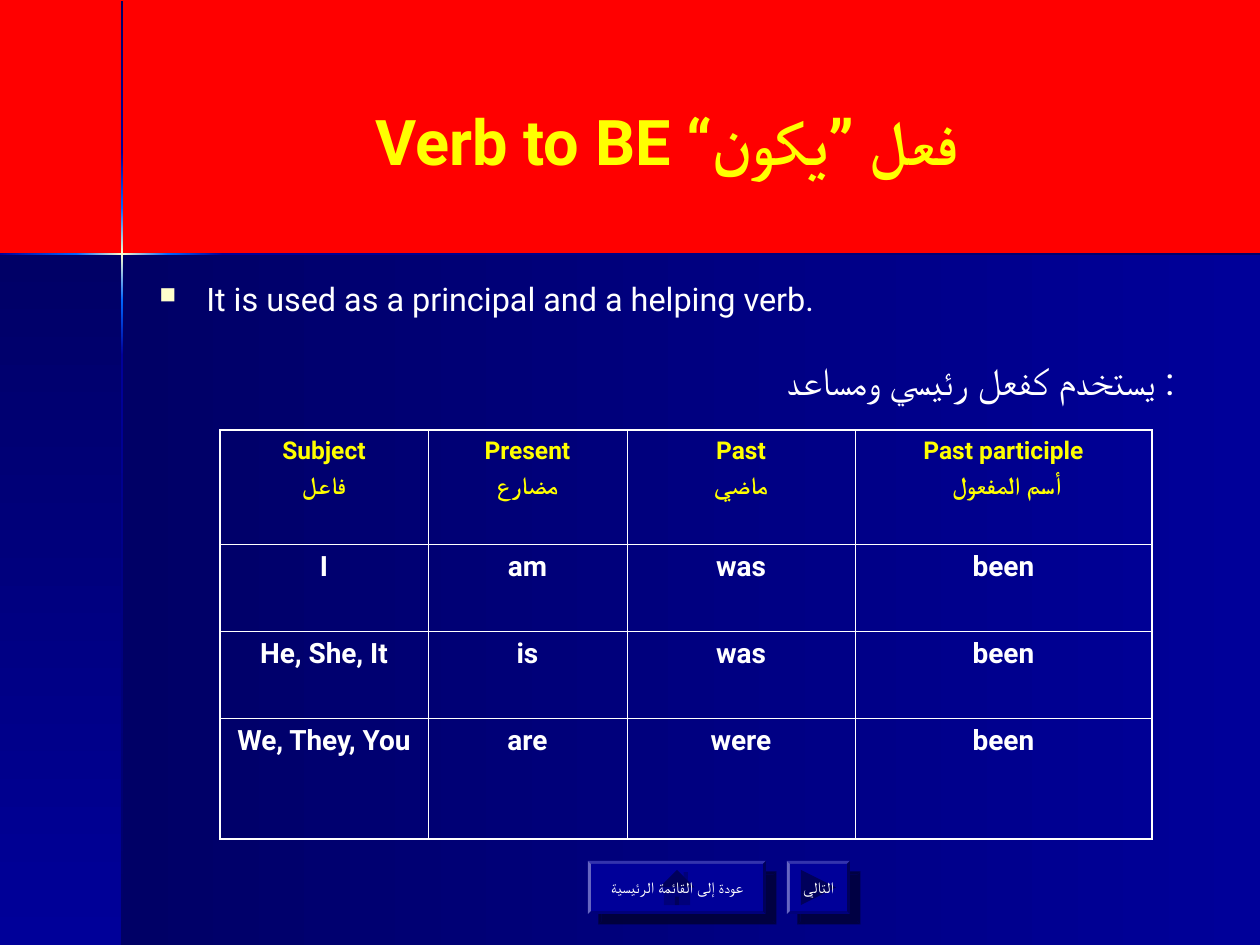
"""Build the slide on the verb to be, with its table of forms and two buttons."""
import pptx
import pptx.util
from pptx.dml.color import RGBColor
from pptx.enum.shapes import MSO_SHAPE
from pptx.enum.text import MSO_ANCHOR, PP_ALIGN
from pptx.oxml import parse_xml
from pptx.oxml.ns import nsdecls, qn

HEADING = "Verb to BE “فعل ”يكون"
USAGE = ["It is used as a principal and a helping verb.", "يستخدم كفعل رئيسي ومساعد :"]
VERB_FORMS = [
    ["Subject\nفاعل", "Present\nمضارع", "Past\nماضي", "Past participle\n أسم المفعول"],
    ["I", "am", "was", "been"],
    ["He, She, It", "is", "was", "been"],
    ["We, They, You", "are", "were", "been"],
]
BUTTONS = [
    ("التالي", 787, 63, MSO_SHAPE.ACTION_BUTTON_FORWARD_OR_NEXT),
    ("عودة إلى القائمة الرئيسية", 588, 178, MSO_SHAPE.ACTION_BUTTON_HOME),
]

THEME = {
    "font": "Roboto", "band": "FF0000", "navy": "000066", "blue": "000099",
    "bright": "0066FF", "cream": "FFFFCC", "white": "FFFFFF", "yellow": "FFFF00",
    "title": 36, "usage": 18.5, "arabic": 22.2, "head": 14, "cell": 16, "button": 9,
    "inner_line": 0.45, "outer_line": 1.08,
}
EMU_PER_PX = 914400 / 126
SLIDE_W, SLIDE_H = 1260, 945
CROSS_X, CROSS_Y, CROSS_THICK = 121, 253, 2
PANELS = [
    (122, 254, 1138, 691, ["blue", "navy"], 180),
    (0, 254, 122, 691, ["navy", "blue"], 90),
]
VERTICAL_STOPS = [1, 152, 208, 300, 355, SLIDE_H]
VERTICAL_COLORS = [["navy", "blue"], ["blue", "bright"], ["bright", "cream", "bright"],
                   ["bright", "blue"], ["blue", "navy"]]
HORIZONTAL_STOPS = [0, 76, 168, 223, SLIDE_W]
HORIZONTAL_COLORS = [["bright", "blue"], ["bright", "cream", "bright"],
                     ["blue", "bright"], ["navy", "blue"]]
TITLE_BOX = (147, 42, 1040, 197)
USAGE_BOX = (147, 273, 1040, 144)
TABLE_LEFT, TABLE_TOP = 220, 430
COLUMN_WIDTHS = [208, 199, 228, 297]
ROW_HEIGHTS = [114, 87, 87, 121]
BUTTON_TOP, BUTTON_H, BEVEL = 861, 53, 3


def emu(px):
    return pptx.util.Emu(round(px * EMU_PER_PX))


def box(*px):
    return [emu(value) for value in px]


def rgb(name):
    return RGBColor.from_string(THEME[name])


def write(paragraph, text, size, color, align=PP_ALIGN.CENTER, bold=False):
    run = paragraph.add_run()
    run.text = text
    paragraph.alignment = align
    formats = {"name": THEME["font"], "size": pptx.util.Pt(THEME[size]), "bold": bold}
    for key, value in formats.items():
        setattr(run.font, key, value)
    run.font.color.rgb = rgb(color)
    run.font._element.append(
        parse_xml(f'<a:cs {nsdecls("a")} typeface="{THEME["font"]}"/>'))


def add_plain(slide, kind, area):
    part = slide.shapes.add_shape(kind, *box(*area))
    part.line.fill.background()
    part.shadow.inherit = False
    return part


def add_gradient(slide, left, top, width, height, colors, angle):
    panel = add_plain(slide, MSO_SHAPE.RECTANGLE, (left, top, width, height))
    step = 100000 // (len(colors) - 1)
    stops = "".join(f'<a:gs pos="{i * step}"><a:srgbClr val="{THEME[color]}"/></a:gs>'
                    for i, color in enumerate(colors))
    panel._element.spPr.insert(2, parse_xml(
        f'<a:gradFill {nsdecls("a")} rotWithShape="1"><a:gsLst>{stops}</a:gsLst>'
        f'<a:lin ang="{angle * 60000}" scaled="0"/></a:gradFill>'))


def add_backdrop(slide):
    slide.background.fill.solid()
    slide.background.fill.fore_color.rgb = rgb("band")
    for panel in PANELS:
        add_gradient(slide, *panel)
    for start, end, colors in zip(VERTICAL_STOPS, VERTICAL_STOPS[1:], VERTICAL_COLORS):
        add_gradient(slide, CROSS_X, start, CROSS_THICK, end - start, colors, 90)
    for start, end, colors in zip(HORIZONTAL_STOPS, HORIZONTAL_STOPS[1:], HORIZONTAL_COLORS):
        add_gradient(slide, start, CROSS_Y, end - start, CROSS_THICK, colors, 180)


def add_heading(slide):
    heading = slide.shapes.title
    for key, value in zip(("left", "top", "width", "height"), box(*TITLE_BOX)):
        setattr(heading, key, value)
    heading.text_frame.vertical_anchor = MSO_ANCHOR.MIDDLE
    write(heading.text_frame.paragraphs[0], HEADING, "title", "yellow", bold=True)


def add_usage(slide):
    frame = slide.shapes.add_textbox(*box(*USAGE_BOX)).text_frame
    frame.word_wrap = True
    english, arabic = frame.paragraphs[0], frame.add_paragraph()
    properties = english._p.get_or_add_pPr()
    properties.set("marL", str(emu(47)))
    properties.set("indent", str(-emu(47)))
    for bullet in (f'<a:buClr {nsdecls("a")}><a:srgbClr val="{THEME["cream"]}"/></a:buClr>',
                   f'<a:buSzPct {nsdecls("a")} val="70000"/>',
                   f'<a:buChar {nsdecls("a")} char="■"/>'):
        properties.append(parse_xml(bullet))
    write(english, USAGE[0], "usage", "white", PP_ALIGN.LEFT)
    write(arabic, USAGE[1], "arabic", "white", PP_ALIGN.RIGHT)
    arabic.space_before = pptx.util.Pt(22)


def set_borders(cell, outer_sides):
    properties = cell._tc.get_or_add_tcPr()
    for i, (side, outer) in enumerate(zip("LRTB", outer_sides)):
        width = pptx.util.Pt(THEME["outer_line" if outer else "inner_line"])
        properties.insert(i, parse_xml(
            f'<a:ln{side} {nsdecls("a")} w="{width}"><a:solidFill>'
            f'<a:srgbClr val="{THEME["white"]}"/></a:solidFill></a:ln{side}>'))


def add_verb_table(slide):
    last_row, last_column = len(ROW_HEIGHTS) - 1, len(COLUMN_WIDTHS) - 1
    table = slide.shapes.add_table(
        last_row + 1, last_column + 1,
        *box(TABLE_LEFT, TABLE_TOP, sum(COLUMN_WIDTHS), sum(ROW_HEIGHTS))).table
    table.first_row = table.horz_banding = False
    for column, width in zip(table.columns, COLUMN_WIDTHS):
        column.width = emu(width)
    for r, (row, height) in enumerate(zip(table.rows, ROW_HEIGHTS)):
        row.height = emu(height)
        size, color = ("cell", "white") if r else ("head", "yellow")
        for c, cell in enumerate(row.cells):
            cell.fill.background()
            set_borders(cell, (c == 0, c == last_column, r == 0, r == last_row))
            for i, line in enumerate(VERB_FORMS[r][c].split("\n")):
                frame = cell.text_frame
                paragraph = frame.add_paragraph() if i else frame.paragraphs[0]
                write(paragraph, line, size, color, bold=True)
                if i:
                    paragraph.space_before = pptx.util.Pt(3.5)


def add_button(slide, label, left, width, kind):
    rim = add_plain(slide, MSO_SHAPE.BEVEL, (left, BUTTON_TOP, width, BUTTON_H))
    rim.adjustments[0] = round(BEVEL / BUTTON_H, 2)
    rim._element.spPr.find(qn("a:effectLst")).append(parse_xml(
        f'<a:outerShdw {nsdecls("a")} dist="{pptx.util.Pt(8.5)}" dir="2700000" algn="ctr" '
        'rotWithShape="0"><a:srgbClr val="000000"><a:alpha val="50000"/></a:srgbClr>'
        '</a:outerShdw>'))
    face = add_plain(slide, kind, (left + BEVEL, BUTTON_TOP + BEVEL,
                                   width - 2 * BEVEL, BUTTON_H - 2 * BEVEL))
    for part in (rim, face):
        part.fill.solid()
        part.fill.fore_color.rgb = rgb("blue")
    face.text_frame.word_wrap = False
    face.text_frame.vertical_anchor = MSO_ANCHOR.MIDDLE
    write(face.text_frame.paragraphs[0], label, "button", "white")


def main():
    deck = pptx.Presentation()
    deck.slide_width, deck.slide_height = box(SLIDE_W, SLIDE_H)
    slide = deck.slides.add_slide(deck.slide_layouts[5])
    add_backdrop(slide)
    add_heading(slide)
    add_usage(slide)
    add_verb_table(slide)
    for button in BUTTONS:
        add_button(slide, *button)
    deck.save("out.pptx")


if __name__ == "__main__":
    main()
